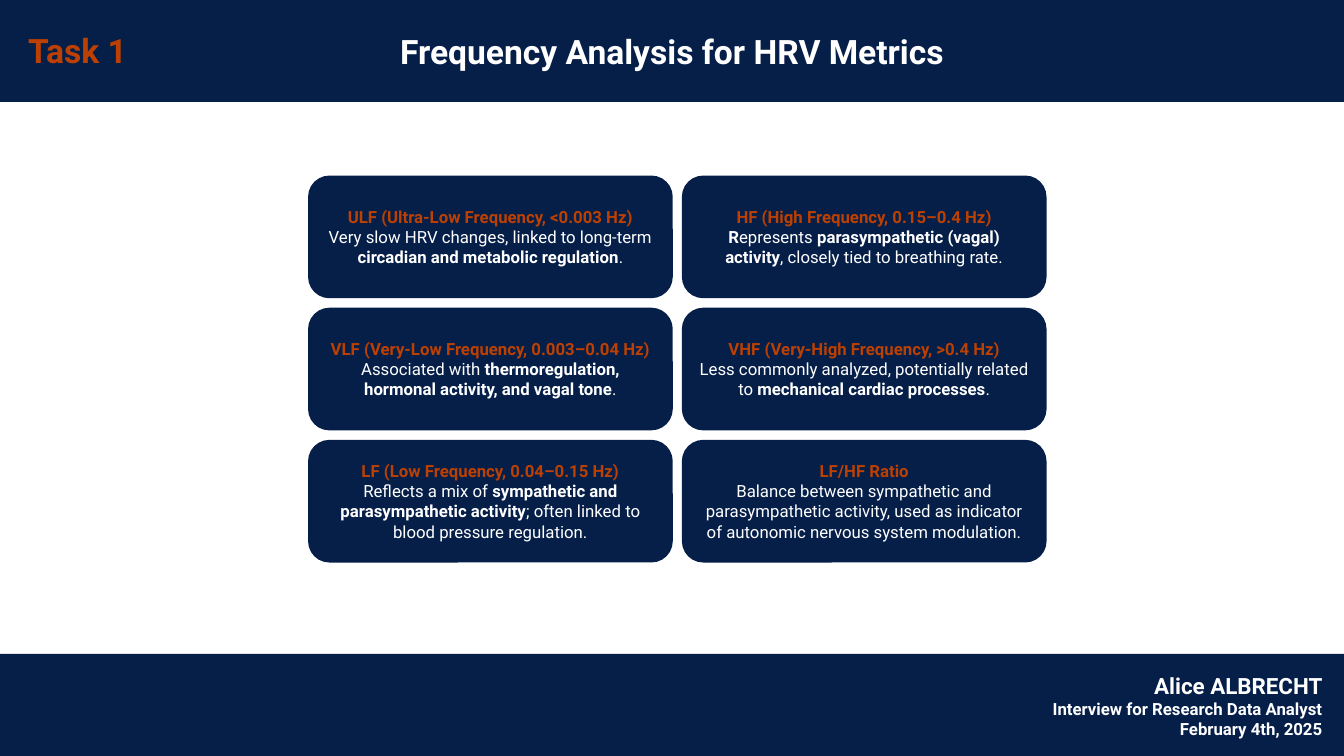
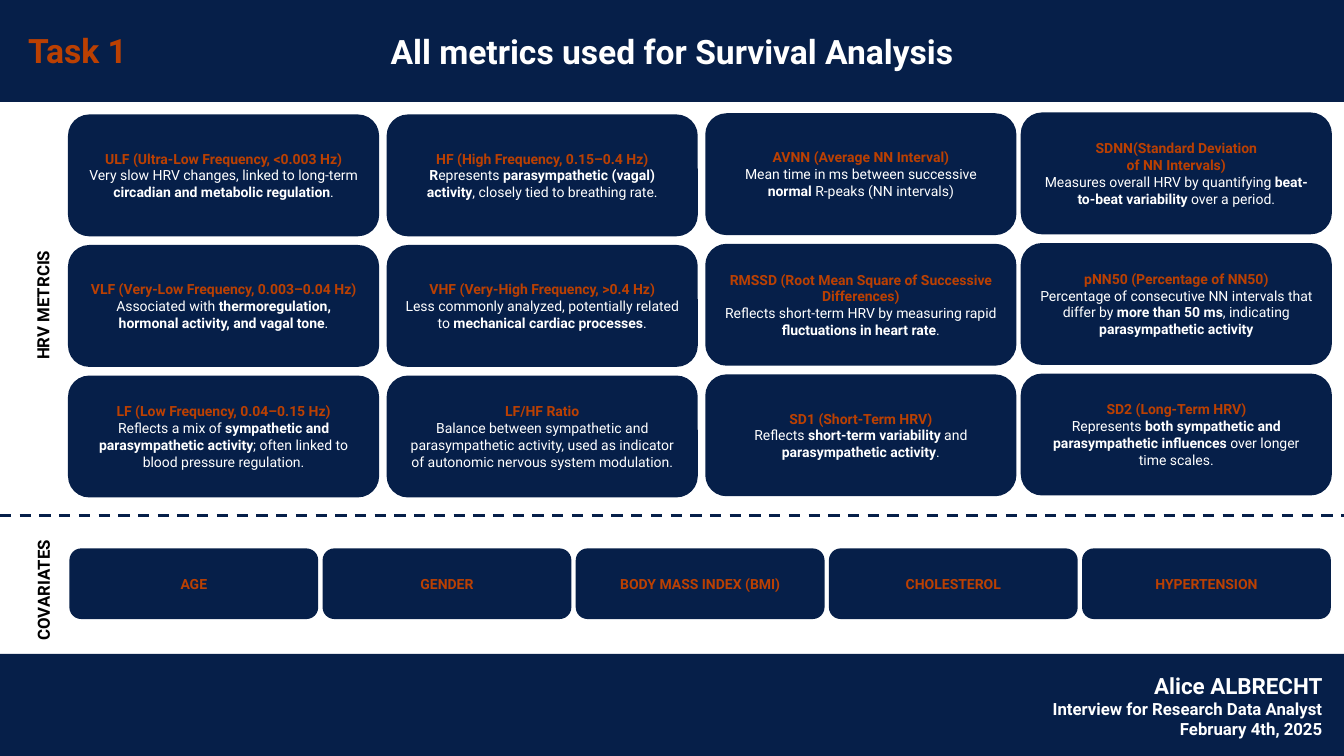
from dataclasses import dataclass

import pptx
import pptx.dml.color
import pptx.enum.dml
import pptx.enum.shapes
import pptx.enum.text
import pptx.oxml.ns
import pptx.oxml.xmlchemy
import pptx.util
from pptx.enum.shapes import MSO_SHAPE
from pptx.enum.text import MSO_ANCHOR, PP_ALIGN
from pptx.util import Cm

NAVY = pptx.dml.color.RGBColor(0x06, 0x1F, 0x49)
RUST = pptx.dml.color.RGBColor(0xBB, 0x40, 0x02)
WHITE = pptx.dml.color.RGBColor(0xFF, 0xFF, 0xFF)
BLACK = pptx.dml.color.RGBColor(0, 0, 0)
FONT = "Roboto"

SLIDE_W, SLIDE_H = Cm(33.87), Cm(19.05)
BAND_H = Cm(2.57)


@dataclass(frozen=True)
class Metric:
    """A card's text: a newline starts a paragraph, ** switches bold."""
    heading: str
    body: str


@dataclass(frozen=True)
class Column:
    left: float
    top: float
    metrics: list[Metric]


@dataclass(frozen=True)
class CardStyle:
    width: float
    height: float
    pitch: float
    size: int


LOW_BANDS = [
    Metric("ULF (Ultra-Low Frequency, <0.003 Hz)",
           "Very slow HRV changes, linked to long-term "
           "**circadian and metabolic regulation**."),
    Metric("VLF (Very-Low Frequency, 0.003–0.04 Hz)",
           "Associated with **thermoregulation, hormonal activity, and vagal tone**."),
    Metric("LF (Low Frequency, 0.04–0.15 Hz)",
           "Reflects a mix of **sympathetic and parasympathetic activity**; "
           "often linked to blood pressure regulation."),
]
HIGH_BANDS = [
    Metric("HF (High Frequency, 0.15–0.4 Hz)",
           "**R**epresents **parasympathetic (vagal) activity**, "
           "closely tied to breathing rate."),
    Metric("VHF (Very-High Frequency, >0.4 Hz)",
           "Less commonly analyzed, potentially related to "
           "**mechanical cardiac processes**."),
    Metric("LF/HF Ratio",
           "Balance between sympathetic and parasympathetic activity, "
           "used as indicator of autonomic nervous system modulation."),
]
SHORT_TERM = [
    Metric("AVNN (Average NN Interval)",
           "Mean time in ms between successive **normal** R-peaks (NN intervals)"),
    Metric("RMSSD (Root Mean Square of Successive Differences)",
           "Reflects short-term HRV by measuring rapid **fluctuations in heart rate**."),
    Metric("SD1 (Short-Term HRV)",
           "Reflects **short-term variability** and **parasympathetic activity**."),
]
OVERALL = [
    Metric("SDNN(Standard Deviation\nof NN Intervals)",
           "Measures overall HRV by quantifying **beat-to-beat variability** "
           "over a period."),
    Metric("pNN50 (Percentage of NN50)",
           "Percentage of consecutive NN intervals that differ by "
           "**more than 50 ms**, indicating **parasympathetic activity**"),
    Metric("SD2 (Long-Term HRV)",
           "Represents **both sympathetic and parasympathetic influences** "
           "over longer time scales."),
]
FREQUENCY_COLUMNS = [Column(7.8, 4.46, LOW_BANDS), Column(17.22, 4.46, HIGH_BANDS)]
ALL_COLUMNS = [
    Column(1.75, 2.92, LOW_BANDS),
    Column(9.78, 2.92, HIGH_BANDS),
    Column(17.81, 2.89, SHORT_TERM),
    Column(25.76, 2.87, OVERALL),
]
LARGE_CARD = CardStyle(width=9.12, height=3.02, pitch=3.33, size=12)
SMALL_CARD = CardStyle(width=7.77, height=3, pitch=3.29, size=10)
COVARIATES = ["AGE", "GENDER", "BODY MASS INDEX (BMI)", "CHOLESTEROL", "HYPERTENSION"]


def write(tf, text: str, *, size: int, color=WHITE, bold: bool = False,
          align=PP_ALIGN.CENTER) -> None:
    """Append one paragraph per line of text; ** switches bold."""
    for line in text.split("\n"):
        p = tf.add_paragraph() if tf.text else tf.paragraphs[0]
        p.alignment = align
        for i, part in enumerate(line.split("**")):
            if not part:
                continue
            r = p.add_run()
            r.text = part
            r.font.name = FONT
            r.font.size = pptx.util.Pt(size)
            r.font.bold = bold or i % 2 == 1
            r.font.color.rgb = color


def add_block(s, kind, left: int, top: int, width: int, height: int,
              outlined: bool = False):
    """Add a navy shape and return its text frame."""
    sp = s.shapes.add_shape(kind, left, top, width, height)
    sp.shadow.inherit = False
    sp.fill.solid()
    sp.fill.fore_color.rgb = NAVY
    if outlined:
        sp.line.color.rgb = NAVY
        sp.line.width = pptx.util.Pt(2)
    else:
        sp.line.fill.background()
    tf = sp.text_frame
    tf.word_wrap = True
    tf.vertical_anchor = MSO_ANCHOR.MIDDLE
    return tf


def add_label(s, left: float, top: float, width: float, height: float,
              rotation: float = 0):
    """Add a text box and return its text frame."""
    sp = s.shapes.add_textbox(Cm(left), Cm(top), Cm(width), Cm(height))
    sp.rotation = rotation
    sp.text_frame.word_wrap = True
    return sp.text_frame


def add_framed_slide(prs, title: str):
    """Add a slide with the title band, task label and author footer."""
    s = prs.slides.add_slide(prs.slide_layouts[6])
    tf = add_block(s, MSO_SHAPE.RECTANGLE, 0, 0, SLIDE_W, BAND_H)
    write(tf, title, size=24, bold=True)
    add_block(s, MSO_SHAPE.RECTANGLE, 0, SLIDE_H - BAND_H, SLIDE_W, BAND_H)

    tf = add_label(s, 25.86, 16.81, 7.72, 1.96)
    write(tf, "Alice ALBRECHT", size=16, bold=True, align=PP_ALIGN.RIGHT)
    write(tf, "Interview for Research Data Analyst\nFebruary 4th, 2025",
          size=12, bold=True, align=PP_ALIGN.RIGHT)

    tf = add_label(s, 0, 0.64, 3.45, 1.27)
    write(tf, "Task 1", size=24, color=RUST, bold=True, align=PP_ALIGN.RIGHT)
    return s


def add_cards(s, columns: list[Column], style: CardStyle) -> None:
    for column in columns:
        for row, metric in enumerate(column.metrics):
            tf = add_block(s, MSO_SHAPE.ROUNDED_RECTANGLE, Cm(column.left),
                           Cm(column.top + row * style.pitch),
                           Cm(style.width), Cm(style.height), outlined=True)
            write(tf, metric.heading, size=style.size, color=RUST, bold=True)
            write(tf, metric.body, size=style.size)


def add_covariates(s) -> None:
    left, pitch = 1.75, 6.38
    for i, name in enumerate(COVARIATES):
        tf = add_block(s, MSO_SHAPE.ROUNDED_RECTANGLE, Cm(left + i * pitch),
                       Cm(13.82), Cm(6.27), Cm(1.78))
        write(tf, name, size=10, color=RUST, bold=True)


def add_divider(s, y: int) -> None:
    line = s.shapes.add_connector(pptx.enum.shapes.MSO_CONNECTOR.STRAIGHT,
                                  0, y, SLIDE_W, y)
    line.line.color.rgb = NAVY
    line.line.width = pptx.util.Pt(2)
    line.line.dash_style = pptx.enum.dml.MSO_LINE.DASH
    effects = pptx.oxml.xmlchemy.OxmlElement("a:effectLst")
    line._element.spPr.append(effects)


def add_side_label(s, text: str, left: float, top: float, width: float) -> None:
    tf = add_label(s, left, top, width, 0.77, rotation=270)
    write(tf, text, size=12, color=BLACK, bold=True, align=PP_ALIGN.LEFT)


def main() -> None:
    prs = pptx.Presentation()
    prs.slide_width, prs.slide_height = SLIDE_W, SLIDE_H

    s = add_framed_slide(prs, "Frequency Analysis for HRV Metrics")
    add_cards(s, FREQUENCY_COLUMNS, LARGE_CARD)

    s = add_framed_slide(prs, "All metrics used for Survival Analysis")
    add_cards(s, ALL_COLUMNS, SMALL_CARD)
    add_divider(s, Cm(13))
    add_covariates(s)
    add_side_label(s, "HRV METRCIS", -0.64, 7.21, 3.45)
    add_side_label(s, "COVARIATES", -0.53, 14.38, 3.25)

    prs.save("out.pptx")


if __name__ == "__main__":
    main()
